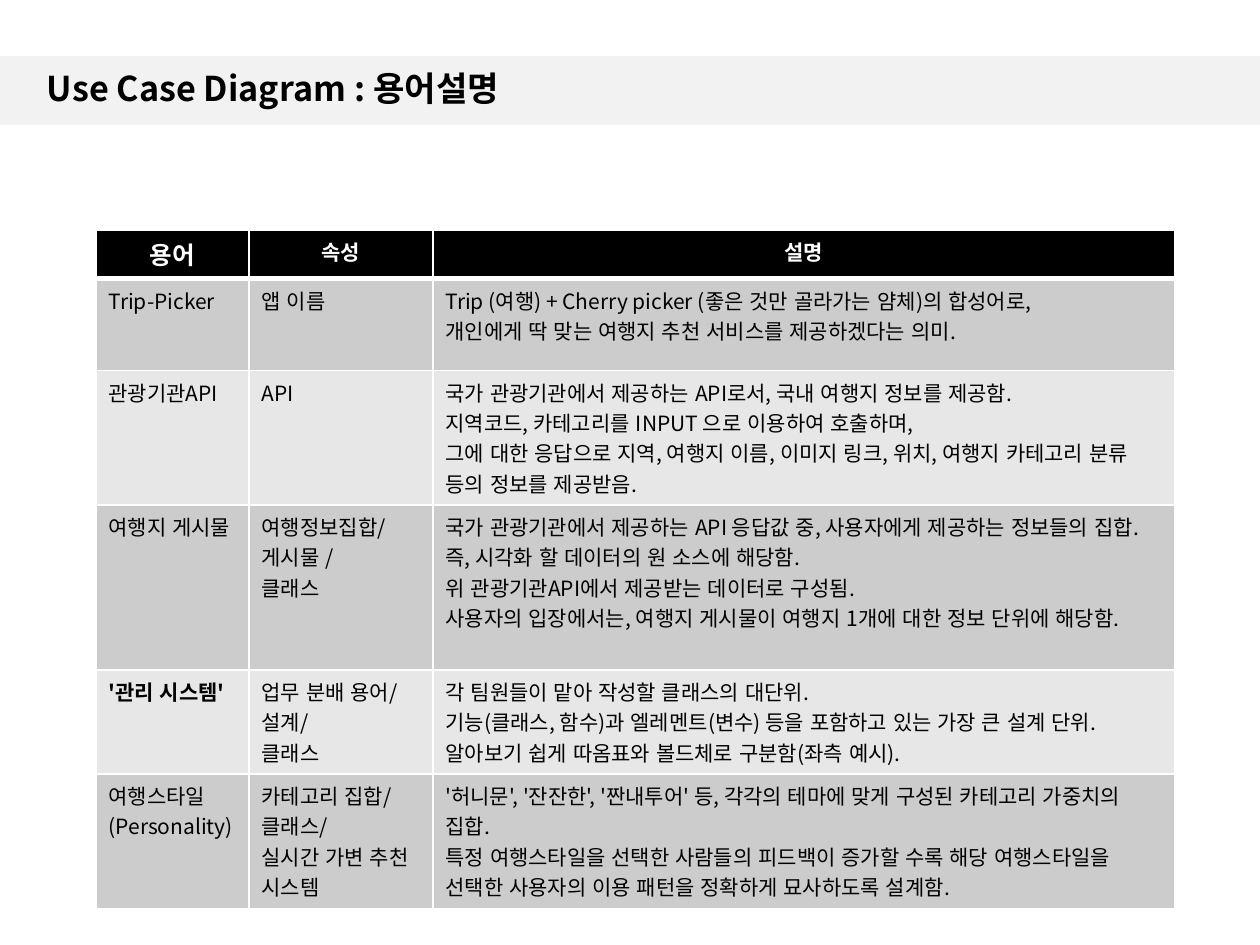
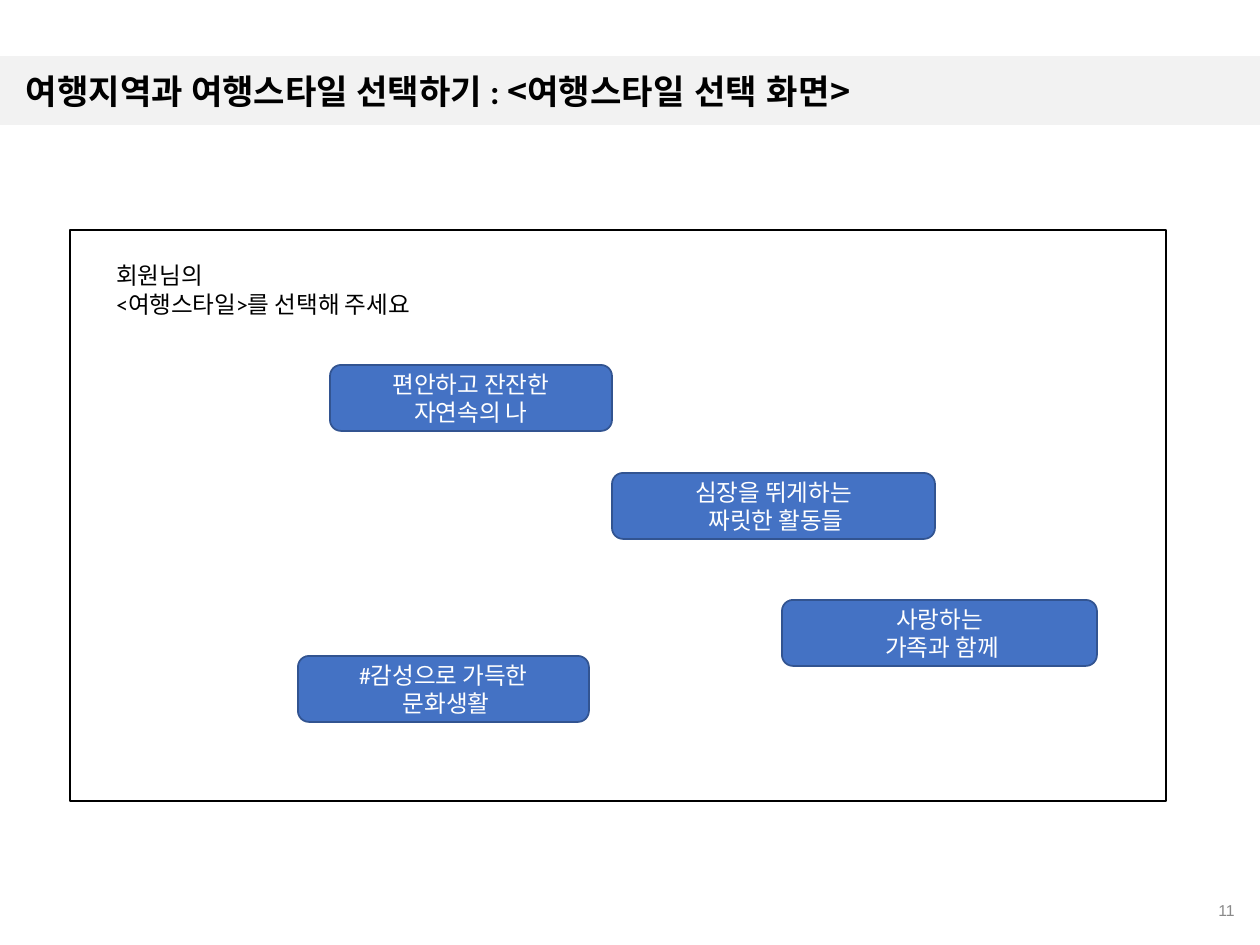
from pptx import Presentation
from pptx.dml.color import RGBColor
from pptx.enum.lang import MSO_LANGUAGE_ID
from pptx.enum.shapes import MSO_SHAPE
from pptx.enum.text import MSO_ANCHOR, MSO_AUTO_SIZE, PP_ALIGN
from pptx.oxml import parse_xml
from pptx.oxml.ns import nsdecls
from pptx.oxml.xmlchemy import OxmlElement
from pptx.util import Pt

PX = 914400 / 126
NOTO = "Noto Sans CJK KR"
COLORS = {
    "black": "000000", "white": "FFFFFF", "band": "F2F2F2",
    "row_dark": "CCCCCC", "row_light": "E7E7E7",
    "card": "4472C4", "card_edge": "325491", "page": "898989",
}
COLOR = {name: RGBColor.from_string(value) for name, value in COLORS.items()}


def place(*lengths):
    return [round(length * PX) for length in lengths]


def write(frame, paragraphs, size, color="black", align=PP_ALIGN.LEFT, bold=False):
    for index, parts in enumerate(paragraphs):
        paragraph = frame.add_paragraph() if index else frame.paragraphs[0]
        paragraph.alignment = align
        for text, font in parts:
            run = paragraph.add_run()
            run.text = text
            formats = {"name": font, "size": Pt(size), "bold": bold,
                       "language_id": MSO_LANGUAGE_ID.KOREAN}
            for attribute, value in formats.items():
                setattr(run.font, attribute, value)
            run.font.color.rgb = COLOR[color]
            east_asian = OxmlElement("a:ea")
            east_asian.set("typeface", font)
            run.font._element.append(east_asian)


prs = Presentation()
prs.slide_width, prs.slide_height = place(1260, 945)

titles = [
    ((34, 55, 1191, 71), (13, 6), [("Use Case Diagram : 용어설명", NOTO)]),
    ((17, 67, 1191, 53), (9, 5), [("여행지역과 여행스타일 선택하기 : ", "Calibri"),
                                  ("<여행스타일 선택 화면>", NOTO)]),
]
slides = []
for box, (side, edge), parts in titles:
    slide = prs.slides.add_slide(prs.slide_layouts[5])
    slides.append(slide)
    band = slide.shapes.add_shape(MSO_SHAPE.RECTANGLE, *place(0, 56, 1260, 69))
    band.shadow.inherit = False
    band.fill.solid()
    band.fill.fore_color.rgb = COLOR["band"]
    band.line.fill.background()
    slide.shapes._spTree.insert(2, band._element)

    title = slide.shapes.title
    title.left, title.top, title.width, title.height = place(*box)
    frame = title.text_frame
    inset_x, inset_y = place(side, edge)
    formats = {
        "margin_left": inset_x, "margin_right": inset_x,
        "margin_top": inset_y, "margin_bottom": inset_y,
        "vertical_anchor": MSO_ANCHOR.MIDDLE,
        "auto_size": MSO_AUTO_SIZE.NONE, "word_wrap": True,
    }
    for attribute, value in formats.items():
        setattr(frame, attribute, value)
    write(frame, [parts], 19.5, bold=True)
    frame.paragraphs[0].line_spacing = 0.9

glossary_slide, style_slide = slides

terms = [
    (["용어"], ["속성"], ["설명"]),
    (["Trip-Picker"], ["앱 이름"],
     ["Trip (여행) + Cherry picker (좋은 것만 골라가는 얌체)의 합성어로,",
      "개인에게 딱 맞는 여행지 추천 서비스를 제공하겠다는 의미."]),
    (["관광기관API"], ["API"],
     ["국가 관광기관에서 제공하는 API로서, 국내 여행지 정보를 제공함.",
      "지역코드, 카테고리를 INPUT 으로 이용하여 호출하며,",
      "그에 대한 응답으로 지역, 여행지 이름, 이미지 링크, 위치, 여행지 카테고리 분류 등의 정보를 제공받음."]),
    (["여행지 게시물"], ["여행정보집합/", "게시물 /", "클래스"],
     ["국가 관광기관에서 제공하는 API 응답값 중, 사용자에게 제공하는 정보들의 집합.",
      "즉, 시각화 할 데이터의 원 소스에 해당함.",
      "위 관광기관API에서 제공받는 데이터로 구성됨.",
      "사용자의 입장에서는, 여행지 게시물이 여행지 1개에 대한 정보 단위에 해당함."]),
    (["'관리 시스템'"], ["업무 분배 용어/", "설계/", "클래스"],
     ["각 팀원들이 맡아 작성할 클래스의 대단위.",
      "기능(클래스, 함수)과 엘레멘트(변수) 등을 포함하고 있는 가장 큰 설계 단위.",
      "알아보기 쉽게 따옴표와 볼드체로 구분함(좌측 예시)."]),
    (["여행스타일", "(Personality)"], ["카테고리 집합/", "클래스/", "실시간 가변 추천 시스템"],
     ["'허니문', '잔잔한', '짠내투어' 등, 각각의 테마에 맞게 구성된 카테고리 가중치의 집합.",
      "특정 여행스타일을 선택한 사람들의 피드백이 증가할 수록 해당 여행스타일을 선택한 사용자의 이용 패턴을 정확하게 묘사하도록 설계함."]),
]
glossary = glossary_slide.shapes.add_table(
    len(terms), 3, *place(96, 230, 1079, 646)).table
for column, width in zip(glossary.columns, place(153, 184, 742)):
    column.width = width
for row, height in zip(glossary.rows, place(47, 92, 134, 165, 104, 134)):
    row.height = height

for r, term in enumerate(terms):
    is_header = r == 0
    fill = "black" if is_header else ("row_dark" if r % 2 else "row_light")
    for c, lines in enumerate(term):
        cell = glossary.cell(r, c)
        properties = cell._tc.get_or_add_tcPr()
        borders = {"L": 1, "R": 1, "T": 3 if r == 1 else 1, "B": 3 if is_header else 1}
        for side, weight in borders.items():
            properties.append(parse_xml(
                f'<a:ln{side} {nsdecls("a")} w="{Pt(weight)}"><a:solidFill>'
                f'<a:srgbClr val="{COLORS["white"]}"/></a:solidFill></a:ln{side}>'))
        cell.fill.solid()
        cell.fill.fore_color.rgb = COLOR[fill]
        write(cell.text_frame, [[(line, NOTO)] for line in lines],
              14 if is_header and c == 0 else 12,
              "white" if is_header else "black",
              PP_ALIGN.CENTER if is_header else PP_ALIGN.LEFT,
              is_header or lines == ["'관리 시스템'"])

page_number = style_slide.shapes.add_textbox(*place(963, 885, 284, 50)).text_frame
page_number.word_wrap = True
page_number.vertical_anchor = MSO_ANCHOR.MIDDLE
write(page_number, [[("11", "Arial")]], 9, "page", PP_ALIGN.RIGHT)

panels = [
    (MSO_SHAPE.RECTANGLE, (70, 230, 1096, 571), "white", "black", []),
    (MSO_SHAPE.ROUNDED_RECTANGLE, (330, 365, 282, 66), "card", "card_edge",
     ["편안하고 잔잔한", "자연속의 나"]),
    (MSO_SHAPE.ROUNDED_RECTANGLE, (782, 600, 315, 66), "card", "card_edge",
     ["사랑하는", " 가족과 함께"]),
    (MSO_SHAPE.ROUNDED_RECTANGLE, (298, 656, 291, 66), "card", "card_edge",
     ["#감성으로 가득한", " 문화생활"]),
    (MSO_SHAPE.ROUNDED_RECTANGLE, (612, 473, 323, 66), "card", "card_edge",
     ["심장을 뛰게하는", " 짜릿한 활동들"]),
]
for preset, box, fill, edge, lines in panels:
    panel = style_slide.shapes.add_shape(preset, *place(*box))
    panel.shadow.inherit = False
    panel.fill.solid()
    panel.fill.fore_color.rgb = COLOR[fill]
    panel.line.color.rgb = COLOR[edge]
    panel.line.width = Pt(1)
    if lines:
        panel.text_frame.vertical_anchor = MSO_ANCHOR.MIDDLE
        write(panel.text_frame, [[(line, "Calibri")] for line in lines],
              13.5, "white", PP_ALIGN.CENTER)

prompt = style_slide.shapes.add_textbox(*place(104, 255, 428, 71)).text_frame
prompt.word_wrap = True
prompt.auto_size = MSO_AUTO_SIZE.SHAPE_TO_FIT_TEXT
write(prompt, [[("회원님의", "Calibri")], [("<여행스타일>를 선택해 주세요", "Calibri")]], 13.5)

prs.save("out.pptx")
